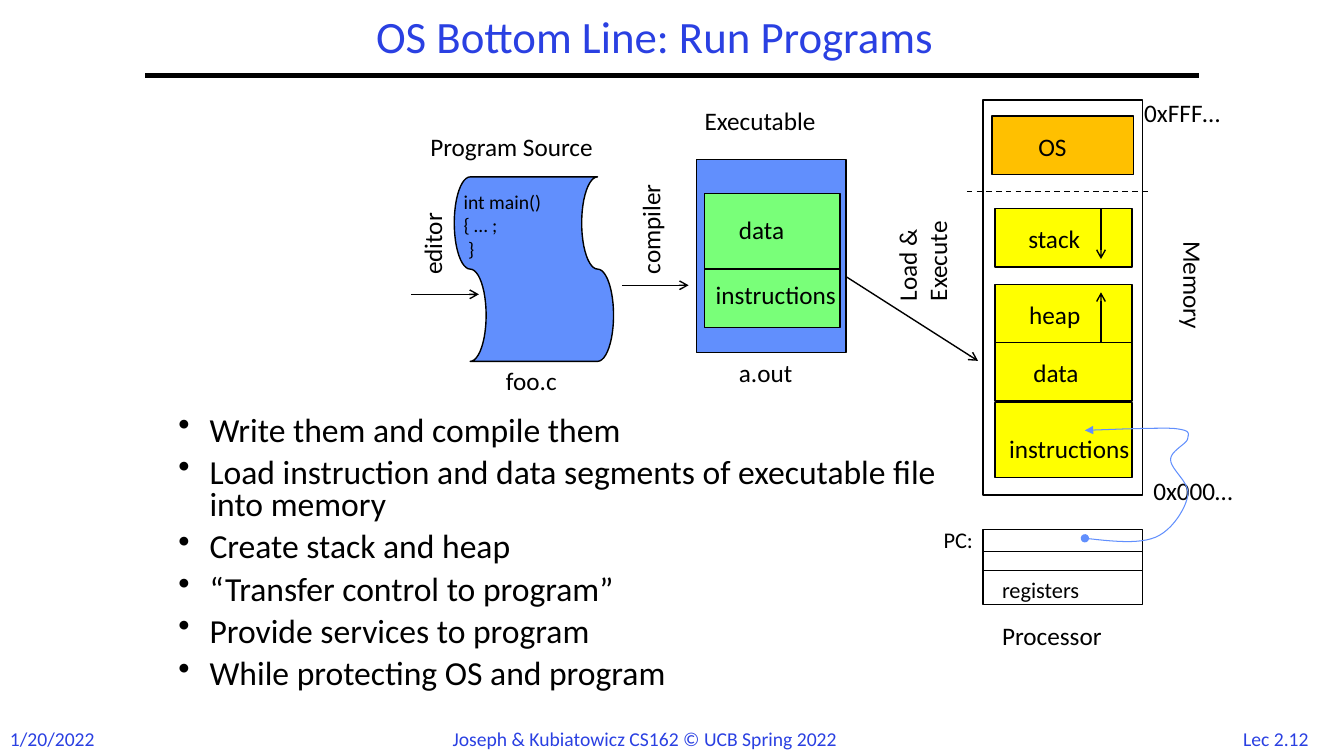
from dataclasses import dataclass

from lxml.etree import SubElement
from pptx import Presentation
from pptx.dml.color import RGBColor
from pptx.enum.dml import MSO_LINE_DASH_STYLE as Dash
from pptx.enum.shapes import MSO_CONNECTOR as Connector, MSO_SHAPE as Preset
from pptx.enum.text import MSO_ANCHOR as Anchor, MSO_AUTO_SIZE as AutoSize, PP_ALIGN as Align
from pptx.oxml.ns import qn
from pptx.util import Pt

PX = 9144


@dataclass(frozen=True)
class Theme:
    font: str = "Calibri"
    ink: str = "000000"
    accent: str = "2A40E2"
    file: str = "618FFD"
    section: str = "79FF79"
    segment: str = "FFFF00"
    kernel: str = "FFC000"
    title: int = 32
    body: int = 24
    label: int = 18
    register: int = 16
    small: int = 14


@dataclass(frozen=True)
class Box:
    x: int
    y: int
    w: int
    h: int

    def inner(self, x, y, w, h):
        return Box(self.x + x, self.y + y, w, h)

    def emu(self):
        return [value * PX for value in (self.x, self.y, self.w, self.h)]


THEME = Theme()


def add_run(paragraph, text, size, color):
    run = paragraph.add_run()
    run.text = text
    run.font.name = THEME.font
    run.font.size = Pt(size)
    run.font.color.rgb = RGBColor.from_string(color)


def add_label(shapes, box, lines, size=THEME.label, color=THEME.ink, rotation=0,
              wrap=False, align=Align.LEFT):
    label = shapes.add_textbox(*box.emu())
    label.rotation = rotation
    frame = label.text_frame
    frame.word_wrap = wrap
    frame.auto_size = AutoSize.SHAPE_TO_FIT_TEXT
    for index, line in enumerate(lines.split("\n")):
        paragraph = frame.add_paragraph() if index else frame.paragraphs[0]
        paragraph.alignment = align
        add_run(paragraph, line, size, color)


def add_block(shapes, box, fill=None, preset=Preset.RECTANGLE, rotation=0):
    block = shapes.add_shape(preset, *box.emu())
    block.shadow.inherit = False
    block.rotation = rotation
    if fill:
        block.fill.solid()
        block.fill.fore_color.rgb = RGBColor.from_string(fill)
    else:
        block.fill.background()
    style_line(block)


def style_line(shape, color=THEME.ink, width=1, dash=None, head=None, tail=None):
    shape.line.color.rgb = RGBColor.from_string(color)
    shape.line.width = Pt(width)
    if dash:
        shape.line.dash_style = dash
    outline = shape._element.spPr.find(qn("a:ln"))
    for tag, kind in (("a:headEnd", head), ("a:tailEnd", tail)):
        if kind:
            SubElement(outline, qn(tag), type=kind)


def add_line(shapes, box, x1, y1, x2, y2, **style):
    ends = [value * PX for value in (box.x + x1, box.y + y1, box.x + x2, box.y + y2)]
    line = shapes.add_connector(Connector.STRAIGHT, *ends)
    style_line(line, **style)
    SubElement(line._element.spPr, qn("a:effectLst"))


def draw_header(slide, box):
    title = slide.shapes.add_textbox(*box.inner(114, 10, 783, 58).emu())
    frame = title.text_frame
    frame.word_wrap = True
    frame.vertical_anchor = Anchor.MIDDLE
    paragraph = frame.paragraphs[0]
    paragraph.alignment = Align.CENTER
    paragraph.line_spacing = 0.9
    add_run(paragraph, "OS Bottom Line: Run Programs", THEME.title, THEME.accent)
    add_line(slide.shapes, box, 0, 75, box.w, 75, width=3)


def draw_footer(slide, box):
    for x, width, text, align in (
        (0, 107, "1/20/2022", Align.LEFT),
        (439, 455, "Joseph & Kubiatowicz CS162 © UCB Spring 2022", Align.LEFT),
        (1217, 97, "Lec 2.12", Align.CENTER),
    ):
        add_label(slide.shapes, box.inner(x, 0, width, box.h), text, THEME.small,
                  THEME.accent, align=align)


def draw_bullets(slide, box):
    frame = slide.shapes.add_textbox(*box.emu()).text_frame
    frame.word_wrap = True
    for index, text in enumerate((
        "Write them and compile them",
        "Load instruction and data segments of executable file into memory",
        "Create stack and heap",
        "“Transfer control to program”",
        "Provide services to program",
        "While protecting OS and program",
    )):
        paragraph = frame.add_paragraph() if index else frame.paragraphs[0]
        paragraph.line_spacing = 0.8
        paragraph.space_before = Pt(7.2 if index else 0)
        properties = paragraph._p.get_or_add_pPr()
        properties.set("marL", str(31 * PX))
        properties.set("indent", str(-31 * PX))
        SubElement(properties, qn("a:buChar"), char="•")
        add_run(paragraph, text, THEME.body, THEME.ink)


def draw_source(slide, box):
    shapes = slide.shapes.add_group_shape().shapes
    add_block(shapes, box.inner(30, 63, 183, 158), THEME.file,
              Preset.FLOWCHART_PUNCHED_TAPE, 90)
    add_label(shapes, box.inner(42, 58, 107, 81), "int main()\n{ … ;\n }", THEME.small)
    add_line(shapes, box, 0, 167, 67, 167, tail="arrow")
    add_label(shapes, box.inner(-21, 96, 83, 40), "editor", rotation=270)
    add_label(shapes, box.inner(9, 0, 204, 40), "Program Source")
    add_label(shapes, box.inner(84, 233, 75, 40), "foo.c")


def draw_executable(slide, box):
    shapes = slide.shapes.add_group_shape().shapes
    add_block(shapes, box.inner(74, 58, 148, 192), THEME.file)
    add_line(shapes, box, 0, 183, 66, 183, tail="arrow")
    add_label(shapes, box.inner(-30, 104, 116, 40), "compiler", rotation=270)
    add_label(shapes, box.inner(72, 0, 145, 40), "Executable")
    add_label(shapes, box.inner(106, 250, 76, 40), "a.out")
    for y, height, text_x, text_y, width, text in (
        (92, 75, 106, 108, 69, "data"),
        (167, 58, 83, 172, 148, "instructions"),
    ):
        add_block(shapes, box.inner(82, y, 134, height), THEME.section)
        add_label(shapes, box.inner(text_x, text_y, width, 40), text)


def draw_loading(slide, box):
    shapes = slide.shapes.add_group_shape().shapes
    add_line(shapes, box, 0, 64, 130, 147, tail="arrow")
    add_label(shapes, box.inner(13, 0, 124, 71), "Load & Execute", rotation=270, wrap=True)


def draw_memory(slide, box):
    shapes = slide.shapes.add_group_shape().shapes
    add_block(shapes, box)
    add_label(shapes, box.inner(150, -7, 118, 40), "0xFFF…")
    add_label(shapes, box.inner(159, 368, 114, 40), "0x000…")
    add_label(shapes, box.inner(153, 166, 111, 40), "Memory", rotation=90)
    add_line(shapes, box, -16, 91, 167, 91, dash=Dash.DASH)
    for x, y, width, height, fill, text_x, text_y, text_width, text in (
        (9, 16, 140, 58, THEME.kernel, 45, 26, 57, "OS"),
        (12, 108, 136, 58, THEME.segment, 35, 118, 79, "stack"),
        (12, 183, 136, 58, THEME.segment, 36, 193, 76, "heap"),
        (12, 241, 136, 58, THEME.segment, 40, 251, 69, "data"),
        (12, 300, 136, 75, THEME.segment, 16, 326, 148, "instructions"),
    ):
        add_block(shapes, box.inner(x, y, width, height), fill)
        add_label(shapes, box.inner(text_x, text_y, text_width, 40), text)
    for start, end in ((108, 158), (241, 191)):
        add_line(shapes, box, 117, start, 117, end, tail="arrow")


def draw_processor(slide, box):
    shapes = slide.shapes.add_group_shape().shapes
    add_block(shapes, box)
    add_block(shapes, box.inner(0, 22, box.w, 19))
    add_label(shapes, box.inner(-49, -8, 58, 37), "PC:", THEME.register)
    add_label(shapes, box.inner(9, 42, 106, 37), "registers", THEME.register)
    add_label(shapes, box.inner(9, 85, 134, 40), "Processor")


def bezier(points, t):
    weights = ((1 - t) ** 3, 3 * t * (1 - t) ** 2, 3 * t * t * (1 - t), t ** 3)
    return tuple(sum(w * p[axis] for w, p in zip(weights, points)) for axis in (0, 1))


def draw_program_counter_jump(slide, box):
    knots = ((0, 109), (27, 112), (53, 115), (70, 108), (87, 101), (100, 79), (102, 67),
             (105, 54), (85, 41), (85, 31), (85, 22), (102, 15), (102, 10), (103, 4),
             (105, 2), (88, 0), (71, -1), (0, 2), (0, 2))
    steps = 12
    points = [bezier(knots[first:first + 4], step / steps)
              for first in range(0, len(knots) - 1, 3) for step in range(1, steps + 1)]
    start, *rest = [((box.x + x) * PX, (box.y + y) * PX) for x, y in (knots[0], *points)]
    builder = slide.shapes.build_freeform(*start)
    builder.add_line_segments(rest, close=False)
    curve = builder.convert_to_shape()
    curve.shadow.inherit = False
    curve.fill.background()
    style_line(curve, THEME.file, 0.75, head="oval", tail="triangle")


def main():
    presentation = Presentation()
    presentation.slide_width = 1333 * PX
    presentation.slide_height = 750 * PX
    slide = presentation.slides.add_slide(presentation.slide_layouts[6])
    draw_footer(slide, Box(0, 716, 1333, 34))
    draw_header(slide, Box(144, 0, 1045, 75))
    draw_loading(slide, Box(840, 211, 137, 147))
    draw_processor(slide, Box(975, 525, 158, 75))
    draw_memory(slide, Box(975, 99, 158, 392))
    draw_source(slide, Box(408, 125, 213, 273))
    draw_executable(slide, Box(617, 100, 231, 290))
    draw_bullets(slide, Box(167, 408, 773, 308))
    draw_program_counter_jump(slide, Box(1076, 425, 103, 112))
    presentation.save("out.pptx")


if __name__ == "__main__":
    main()
